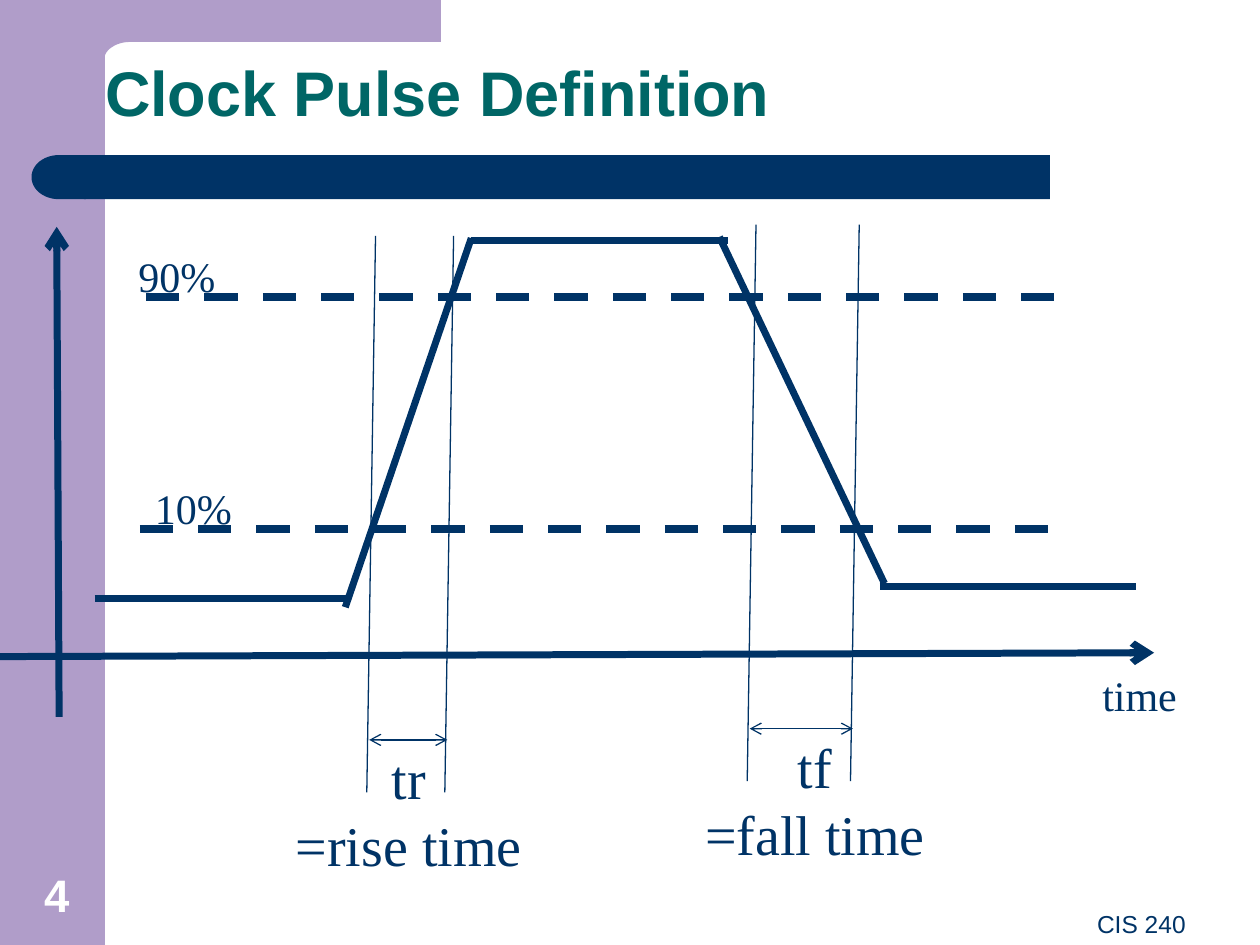
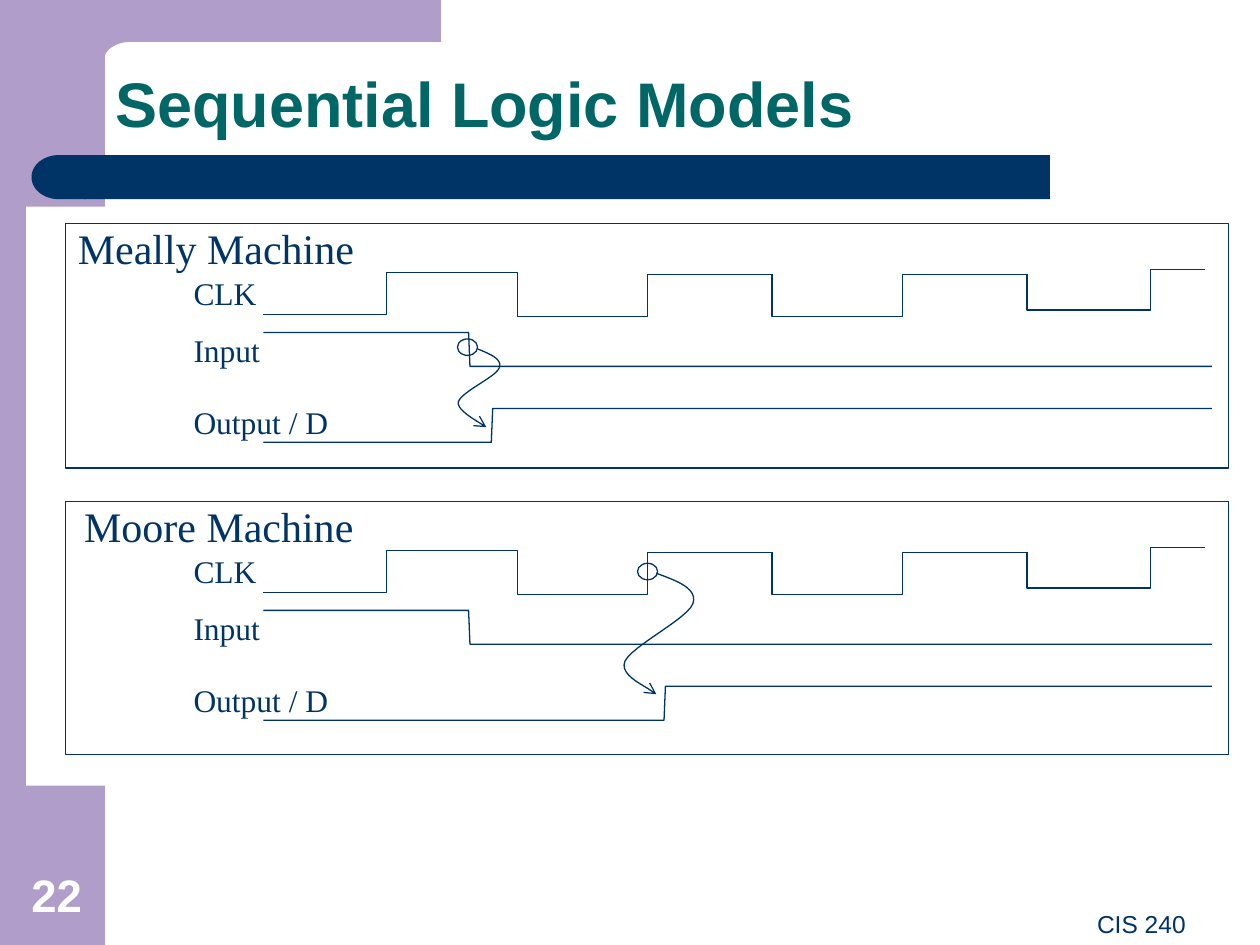
import pptx
import pptx.dml.color
import pptx.enum.dml
import pptx.enum.shapes
import pptx.enum.text
import pptx.oxml
import pptx.oxml.ns
import pptx.util

Pt = pptx.util.Pt
SHAPE = pptx.enum.shapes.MSO_SHAPE
ALIGN = pptx.enum.text.PP_ALIGN
ANCHOR = pptx.enum.text.MSO_ANCHOR

NAVY = "003366"
LILAC = "B09DC9"
TEAL = "006666"
WHITE = "FFFFFF"
SANS = "Arial"
SERIF = "Times New Roman"
THIN = 0.75
THICK = 4

SIGNAL_START = 150.5
SIGNAL_END = 692.6
SIGNAL_LABELS = [("CLK", 25.5, 73), ("Input", 58, 73), ("Output / D", 99, 104)]

MACHINES = [
    {
        "name": "Meally Machine", "name_left": 37.4, "top": 127.8, "height": 139.7,
        "output_rise": 280.8, "event": (261.4, 65.9),
        "cause": [(272.9, 71.6), (280, 74.5), (287.3, 77.4), (285.3, 82.4),
                  (283.7, 87.5), (263.5, 96.1), (261.9, 101.9),
                  (260.6, 106.9), (275, 114.1), (277.9, 116.3)],
    },
    {
        "name": "Moore Machine", "name_left": 41, "top": 286.6, "height": 144.7,
        "output_rise": 379.5, "event": (364.3, 35.3),
        "cause": [(375.1, 41), (386.6, 45.3), (398.9, 49.6), (396, 58.3),
                  (393.1, 66.9), (360.7, 82.8), (357.1, 91.4),
                  (353.5, 100), (371.5, 106.5), (375.1, 110.1)],
    },
]


def color(code):
    return pptx.dml.color.RGBColor.from_string(code)


def paint(shape, fill=None, line=None, width=THIN):
    shape.shadow.inherit = False
    if fill:
        shape.fill.solid()
        shape.fill.fore_color.rgb = color(fill)
    else:
        shape.fill.background()
    if line:
        shape.line.color.rgb = color(line)
        shape.line.width = Pt(width)
    else:
        shape.line.fill.background()


def add_arrowheads(shape, ends):
    outline = shape.element.spPr.find(pptx.oxml.ns.qn("a:ln"))
    for end in ends:
        head = pptx.oxml.parse_xml(f'<a:{end} {pptx.oxml.ns.nsdecls("a")} type="arrow"/>')
        outline.append(head)


def add_block(page, kind, left, top, width, height, **style):
    shape = page.shapes.add_shape(kind, Pt(left), Pt(top), Pt(width), Pt(height))
    paint(shape, **style)
    return shape


def add_line(page, start, end, width=THIN, dash=False, ends=()):
    line = page.shapes.add_connector(
        pptx.enum.shapes.MSO_CONNECTOR.STRAIGHT, *[Pt(value) for value in (*start, *end)])
    line.line.color.rgb = color(NAVY)
    line.line.width = Pt(width)
    if dash:
        line.line.dash_style = pptx.enum.dml.MSO_LINE.DASH
    add_arrowheads(line, ends)
    line.element.spPr.append(
        pptx.oxml.parse_xml(f'<a:effectLst {pptx.oxml.ns.nsdecls("a")}/>'))


def add_outline(page, points, closed=False, **style):
    scaled = [(Pt(x), Pt(y)) for x, y in points]
    builder = page.shapes.build_freeform(*scaled[0])
    builder.add_line_segments(scaled[1:], close=closed)
    shape = builder.convert_to_shape()
    paint(shape, **style)
    return shape


def curve_points(anchors, steps=12):
    points = [anchors[0]]
    for first in range(0, len(anchors) - 1, 3):
        corners = anchors[first:first + 4]
        for step in range(1, steps + 1):
            t = step / steps
            weights = ((1 - t) ** 3, 3 * t * (1 - t) ** 2, 3 * t ** 2 * (1 - t), t ** 3)
            points.append(tuple(
                sum(weight * corner[axis] for weight, corner in zip(weights, corners))
                for axis in (0, 1)))
    return points


def add_span(para, text, size, font, ink, bold=False):
    span = para.add_run()
    span.text = text
    span.font.size = Pt(size)
    span.font.name = font
    span.font.bold = bold
    span.font.color.rgb = color(ink)


def add_text(page, lines, left, top, width, height, size, font=SERIF, ink=NAVY,
             bold=False, align=ALIGN.LEFT, anchor=ANCHOR.TOP):
    box = page.shapes.add_textbox(Pt(left), Pt(top), Pt(width), Pt(height))
    frame = box.text_frame
    frame.word_wrap = True
    frame.vertical_anchor = anchor
    for index, line in enumerate(lines):
        para = frame.add_paragraph() if index else frame.paragraphs[0]
        para.alignment = align
        add_span(para, line, size, font, ink, bold)


def add_title(page, text, left, top, width):
    title = page.shapes.title
    title.left, title.top, title.width, title.height = Pt(left), Pt(top), Pt(width), Pt(60)
    frame = title.text_frame
    frame.word_wrap = True
    frame.auto_size = pptx.enum.text.MSO_AUTO_SIZE.NONE
    frame.vertical_anchor = ANCHOR.BOTTOM
    frame.margin_left = Pt(6)
    para = frame.paragraphs[0]
    para.alignment = ALIGN.LEFT
    para.line_spacing = 0.9
    add_span(para, text, 36, SANS, TEAL, True)


def start_page(deck, title, left, top, width, number):
    page = deck.slides.add_slide(deck.slide_layouts[5])
    add_block(page, SHAPE.RECTANGLE, 0, 0, 60, 540, fill=LILAC)
    corner = curve_points([(74.2, 24), (66, 24), (59.8, 29), (59.8, 33)])
    add_outline(page, [(36, 0), (252, 0), (252, 24), *corner, (59.8, 36), (36, 36)],
                closed=True, fill=LILAC)
    add_block(page, SHAPE.RECTANGLE, 48, 88.6, 552, 25.2, fill=NAVY)
    cap = add_block(page, SHAPE.FLOWCHART_DELAY, 18, 88.6, 31, 25.2, fill=NAVY)
    cap.rotation = 180
    add_title(page, title, left, top, width)
    add_text(page, [number], 0, 491.8, 64.8, 38.2, 26, SANS, WHITE, True,
             ALIGN.CENTER, ANCHOR.BOTTOM)
    add_text(page, ["CIS 240"], 246.2, 516.2, 438.5, 23.8, 14, SANS, align=ALIGN.RIGHT)
    return page


def add_transition(page, name, meaning, left, top, width, center):
    lean = 5
    for x in (left, left + width):
        add_line(page, (x, top), (x - lean, top + 318))
    span_y = top + 288
    add_line(page, (left - 3.6, span_y), (left + width - 3.6, span_y),
             ends=("headEnd", "tailEnd"))
    add_text(page, [name, meaning], center - 80, top + 286.5, 160, 85, 32,
             align=ALIGN.CENTER)


def add_pulse(page):
    for start, end in [
        ((54, 342), (200.2, 342)),
        ((197.3, 347), (269.3, 136.1)),
        ((269.3, 137.7), (416.2, 137.7)),
        ((411.1, 135.4), (505.4, 333.4)),
        ((502.6, 335.3), (649.4, 335.3)),
    ]:
        add_line(page, start, end, THICK)
    for label, label_left, label_top, left, y in [
        ("90%", 72, 139.5, 83.5, 169.8),
        ("10%", 81.4, 272, 79.9, 302.4),
    ]:
        add_line(page, (left, y), (left + 532.8, y), 4.75, dash=True)
        add_text(page, [label], label_left, label_top, 64, 31, 24)


def add_axes(page):
    add_line(page, (33.8, 409.7), (32.4, 129.6), THICK, ends=("tailEnd",))
    add_line(page, (0, 375.2), (659.5, 373), THICK, ends=("tailEnd",))
    add_text(page, ["time"], 622.8, 379, 62, 36, 24)


def add_signal(page, points, top):
    return add_outline(page, [(x, top + y) for x, y in points], line=NAVY)


def add_clock(page, top):
    add_signal(page, [(SIGNAL_START, 52), (221, 52), (221, 28), (295.6, 28), (295.6, 45.5)], top)
    for left in (295.6, 441.2):
        add_signal(page, [(left, 29), (left, 53), (left + 74.5, 53),
                          (left + 74.5, 29), (left + 145.2, 29)], top)
    add_signal(page, [(586.8, 29), (586.8, 49.4), (657.4, 49.4),
                      (657.4, 26.3), (688.3, 26.3)], top)


def add_machine(page, machine):
    top, rise = machine["top"], machine["output_rise"]
    add_block(page, SHAPE.RECTANGLE, 37.4, top, 664.6, machine["height"], line=NAVY)
    add_text(page, [machine["name"]], machine["name_left"], top - 4.2, 192, 36, 24)
    for label, offset, width in SIGNAL_LABELS:
        add_text(page, [label], 103.5, top + offset, width, 29, 18)
    add_clock(page, top)
    add_signal(page, [(SIGNAL_START, 62.2), (267.8, 62.2), (268.6, 81.6), (SIGNAL_END, 81.6)], top)
    add_signal(page, [(SIGNAL_START, 125), (rise, 125), (rise + 0.8, 105.6),
                      (SIGNAL_END, 105.6)], top)
    event_left, event_top = machine["event"]
    add_block(page, SHAPE.OVAL, event_left, top + event_top, 11.5, 9.4, line=NAVY)
    cause = add_signal(page, curve_points(machine["cause"]), top)
    add_arrowheads(cause, ("tailEnd",))


def main():
    deck = pptx.Presentation()
    deck.slide_width, deck.slide_height = Pt(720), Pt(540)

    pulse_page = start_page(deck, "Clock Pulse Definition", 54, 18, 612, "4")
    add_pulse(pulse_page)
    add_axes(pulse_page)
    add_transition(pulse_page, "tr", "=rise time", 214.6, 134.8, 44.6, 233.6)
    add_transition(pulse_page, "tf", "=fall time", 432, 128.4, 59, 465.8)

    models_page = start_page(deck, "Sequential Logic Models", 60, 24, 624, "22")
    add_block(models_page, SHAPE.RECTANGLE, 15, 118, 66, 331, fill=WHITE)
    for machine in MACHINES:
        add_machine(models_page, machine)

    deck.save("out.pptx")


if __name__ == "__main__":
    main()
